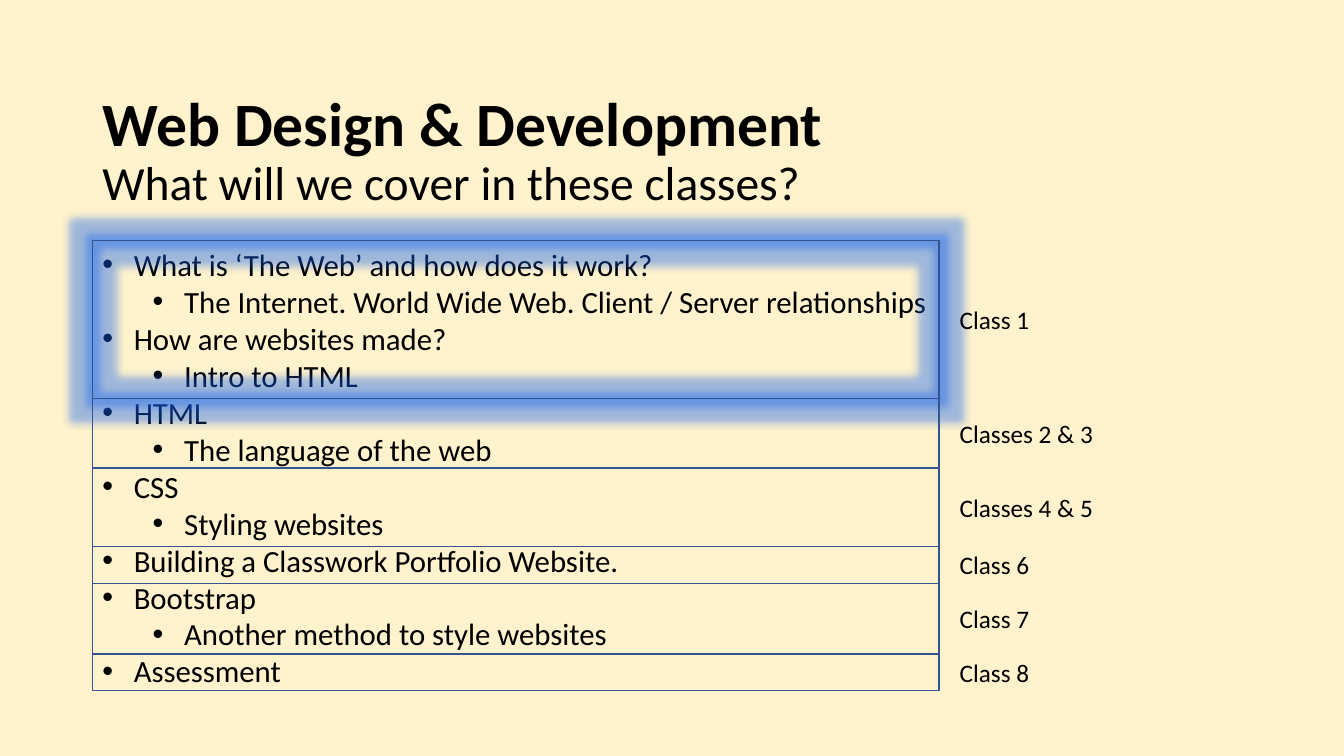
from lxml import etree
from pptx import Presentation
from pptx.dml.color import RGBColor
from pptx.enum.shapes import MSO_SHAPE
from pptx.enum.text import MSO_ANCHOR, MSO_AUTO_SIZE, PP_ALIGN
from pptx.oxml.ns import qn
from pptx.util import Pt

RECTANGLE = MSO_SHAPE.RECTANGLE
MIDDLE = MSO_ANCHOR.MIDDLE
NO_AUTOFIT = MSO_AUTO_SIZE.NONE
LEFT = PP_ALIGN.LEFT

COLORS = {"background": "FFF2CC", "text": "000000", "border": "325491", "glow": "1160F0"}
FONT = "Calibri"
MARGIN, CONTENT_WIDTH, BODY_TOP = 66, 828, 172
BOX_WIDTH = 604.8
LABEL_LEFT, LABEL_WIDTH, LABEL_HEIGHT = 678.4, 131, 29
GLOW_RADIUS = Pt(11)

SECTIONS = [
    ("Class 1", 112.6, [
        (0, "What is ‘The Web’ and how does it work?"),
        (1, "The Internet. World Wide Web. Client / Server relationships"),
        (0, "How are websites made?"),
        (1, "Intro to HTML"),
    ]),
    ("Classes 2 & 3", 49.6, [(0, "HTML"), (1, "The language of the web")]),
    ("Classes 4 & 5", 56.1, [(0, "CSS"), (1, "Styling websites")]),
    ("Class 6", 26.4, [(0, "Building a Classwork Portfolio Website.")]),
    ("Class 7", 50.4, [(0, "Bootstrap"), (1, "Another method to style websites")]),
    ("Class 8", 26.2, [(0, "Assessment")]),
]


def add_run(p, text, size, bold=False):
    r = p.add_run()
    r.text = text
    r.font.name = FONT
    r.font.size = Pt(size)
    r.font.bold = bold
    r.font.color.rgb = RGBColor.from_string(COLORS["text"])


prs = Presentation()
prs.slide_width, prs.slide_height = Pt(960), Pt(540)
s = prs.slides.add_slide(prs.slide_layouts[5])
s.background.fill.solid()
s.background.fill.fore_color.rgb = RGBColor.from_string(COLORS["background"])

title = s.shapes.title
title.left, title.top, title.width, title.height = Pt(MARGIN), Pt(45), Pt(CONTENT_WIDTH), Pt(127)
tf = title.text_frame
tf.auto_size = NO_AUTOFIT
tf.vertical_anchor = MIDDLE
p = tf.paragraphs[0]
p.alignment = LEFT
p.line_spacing = 0.9
add_run(p, "Web Design & Development", 44, True)
p.add_line_break()
add_run(p, "What will we cover in these classes?", 34)

body = s.shapes.add_textbox(Pt(MARGIN), Pt(BODY_TOP), Pt(CONTENT_WIDTH), Pt(327))
tf = body.text_frame
tf.word_wrap = True
topics = [topic for _, _, section_topics in SECTIONS for topic in section_topics]
for i, (level, text) in enumerate(topics):
    p = tf.paragraphs[0] if i == 0 else tf.add_paragraph()
    p.level = level
    p.line_spacing = 1.0
    pPr = p._p.get_or_add_pPr()
    pPr.set("marL", str(Pt(22.5 + 36 * level)))
    pPr.set("indent", str(Pt(-22.5)))
    etree.SubElement(pPr, qn("a:buFont"), typeface="Arial")
    etree.SubElement(pPr, qn("a:buChar"), char="•")
    add_run(p, text, 22)

top = BODY_TOP
for i, (label, height, _) in enumerate(SECTIONS):
    sp = s.shapes.add_shape(RECTANGLE, Pt(MARGIN), Pt(top), Pt(BOX_WIDTH), Pt(height))
    sp.shadow.inherit = False
    sp.fill.background()
    sp.line.color.rgb = RGBColor.from_string(COLORS["border"])
    sp.line.width = Pt(1)
    if i == 0:
        effects = sp._element.spPr.find(qn("a:effectLst"))
        glow = etree.SubElement(effects, qn("a:glow"), rad=str(GLOW_RADIUS))
        color = etree.SubElement(glow, qn("a:srgbClr"), val=COLORS["glow"])
        etree.SubElement(color, qn("a:alpha"), val="40000")

    label_top = top + (height - LABEL_HEIGHT) / 2
    box = s.shapes.add_textbox(Pt(LABEL_LEFT), Pt(label_top), Pt(LABEL_WIDTH), Pt(LABEL_HEIGHT))
    box.text_frame.word_wrap = True
    add_run(box.text_frame.paragraphs[0], label, 18)
    top += height

prs.save("out.pptx")
